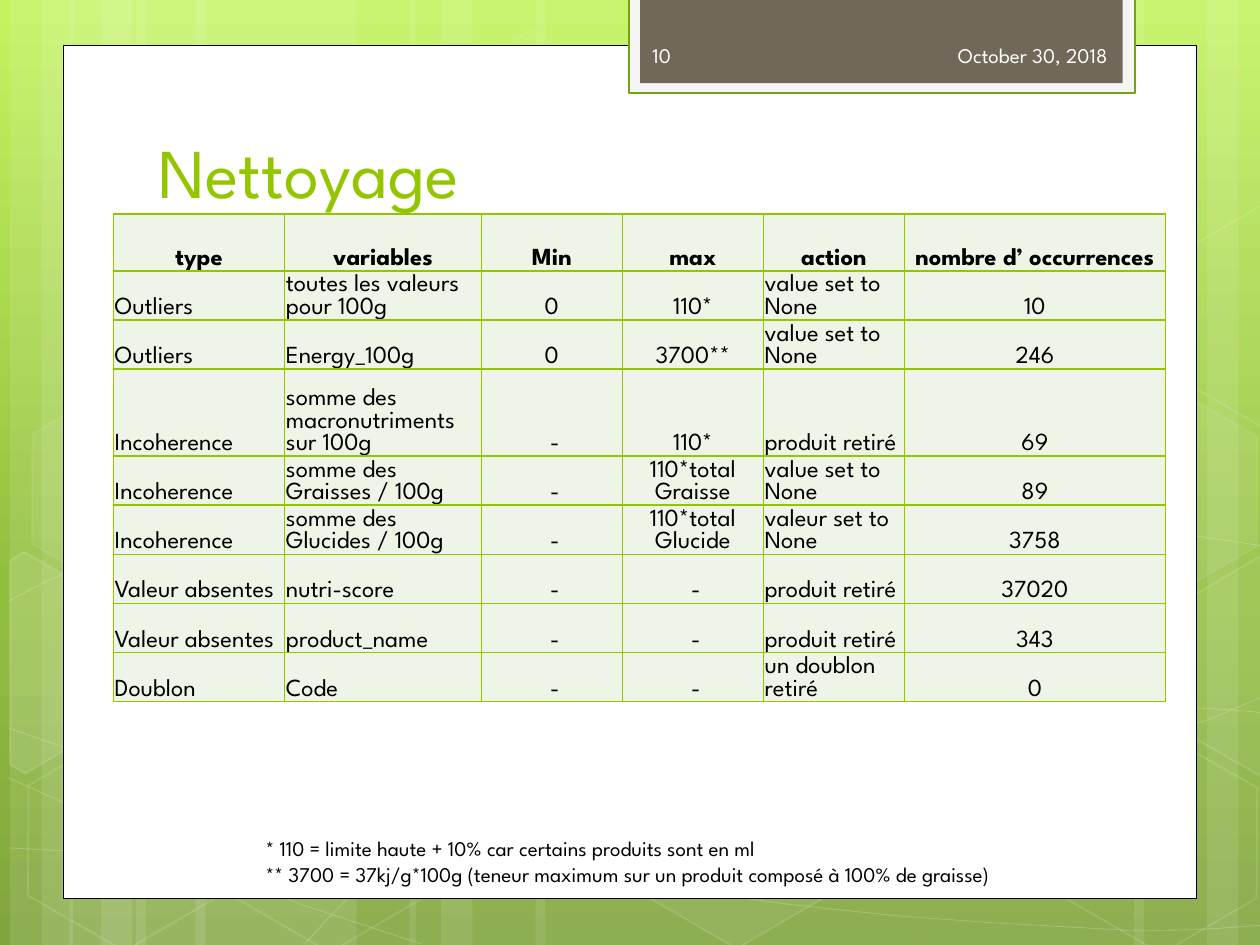
from copy import deepcopy
from dataclasses import dataclass

from lxml import etree
from pptx import Presentation
from pptx.dml.color import RGBColor
from pptx.enum.shapes import MSO_SHAPE
from pptx.enum.text import MSO_ANCHOR, MSO_AUTO_SIZE, PP_ALIGN
from pptx.oxml.ns import qn
from pptx.util import Inches, Pt

RECTANGLE, HEXAGON = MSO_SHAPE.RECTANGLE, MSO_SHAPE.HEXAGON
LEFT, CENTER, RIGHT = PP_ALIGN.LEFT, PP_ALIGN.CENTER, PP_ALIGN.RIGHT
TOP, MIDDLE, BOTTOM = MSO_ANCHOR.TOP, MSO_ANCHOR.MIDDLE, MSO_ANCHOR.BOTTOM


@dataclass(frozen=True)
class Theme:
    font: str = "League Spartan"
    white: str = "FFFFFF"
    black: str = "000000"
    green: str = "94C600"
    tab_edge: str = "74A510"
    tab_frame: str = "F5F5F5"
    tab: str = "71685A"
    tab_text: str = "FEFEFE"
    cell: str = "EEF5E7"
    background: tuple = ((0, "C3F35F"), (0.62, "93BF3F"), (1, "81A53E"))
    title_size: int = 40
    table_size: int = 14
    table_spacing: float = 12.9
    small_size: int = 12
    small_spacing: float = 15


def write(frame, text, size, color, font, bold=False, align=LEFT, anchor=TOP,
          wrap=True, spacing=None):
    frame.word_wrap = wrap
    frame.vertical_anchor = anchor
    for index, line in enumerate(text.split("\n")):
        para = frame.paragraphs[0] if index == 0 else frame.add_paragraph()
        para.alignment = align
        if spacing:
            para.line_spacing = Pt(spacing)
        span = para.add_run()
        span.text = line
        span.font.size = Pt(size)
        span.font.name = font
        span.font.bold = bold
        span.font.color.rgb = RGBColor.from_string(color)


def set_alpha(fill, color, percent):
    fill.solid()
    fill.fore_color.rgb = RGBColor.from_string(color)
    if percent < 100:
        node = fill._xPr.find(qn("a:solidFill"))[0]
        etree.SubElement(node, qn("a:alpha"), val=str(percent * 1000))


def curve_points(start, segments, steps=3):
    points = [start]
    for x1, y1, x2, y2, x3, y3 in segments:
        controls = (points[-1], (x1, y1), (x2, y2), (x3, y3))
        for step in range(1, steps + 1):
            t = step / steps
            weights = ((1 - t) ** 3, 3 * t * (1 - t) ** 2, 3 * t * t * (1 - t), t ** 3)
            points.append(tuple(sum(w * point[axis] for w, point in zip(weights, controls))
                                for axis in (0, 1)))
    return points


class SlideBuilder:
    def __init__(self, deck, theme):
        self.theme = theme
        self.slide = deck.slides.add_slide(deck.slide_layouts[5])
        self.shapes = self.slide.shapes

    def background(self):
        fill = self.slide.background.fill
        fill.gradient()
        fill.gradient_angle = 270
        stop_list = self.slide.element.find(".//" + qn("a:gsLst"))
        stop_list.append(deepcopy(stop_list[-1]))
        for stop, (position, color) in zip(fill.gradient_stops, self.theme.background):
            stop.position = position
            stop.color.rgb = RGBColor.from_string(color)

    def paint(self, shape, fill, fill_alpha, line, line_width, line_alpha):
        shape.shadow.inherit = False
        if fill:
            set_alpha(shape.fill, fill, fill_alpha)
        else:
            shape.fill.background()
        if line:
            shape.line.width = Pt(line_width)
            set_alpha(shape.line.fill, line, line_alpha)
        else:
            shape.line.fill.background()

    def shape(self, kind, left, top, width, height, fill=None, fill_alpha=100,
              line=None, line_width=1, line_alpha=100):
        shape = self.shapes.add_shape(kind, Inches(left), Inches(top), Inches(width), Inches(height))
        self.paint(shape, fill, fill_alpha, line, line_width, line_alpha)
        return shape

    def hexagon(self, left, top, fill_alpha, line_alpha):
        white = self.theme.white
        shape = self.shape(HEXAGON, left, top, 1.75, 1.52, white if fill_alpha else None,
                           fill_alpha, white, 1, line_alpha)
        shape.adjustments[0] = 0.285
        shape.rotation = 30

    def outline(self, points, closed=False, fill_alpha=0, line_width=0.5, line_alpha=20):
        start, *rest = [(Inches(x), Inches(y)) for x, y in points]
        builder = self.shapes.build_freeform(*start)
        builder.add_line_segments(rest, close=closed)
        white = self.theme.white
        self.paint(builder.convert_to_shape(), white if fill_alpha else None, fill_alpha,
                   white, line_width, line_alpha)

    def title(self, text, left, top, width, height):
        box = self.shapes.title
        box.left, box.top, box.width, box.height = map(Inches, (left, top, width, height))
        box.text_frame.auto_size = MSO_AUTO_SIZE.NONE
        write(box.text_frame, text, self.theme.title_size, self.theme.green,
              self.theme.font, anchor=BOTTOM)
        self.shapes._spTree.append(box._element)

    def text(self, text, left, top, width, height, color, **style):
        box = self.shapes.add_textbox(Inches(left), Inches(top), Inches(width), Inches(height))
        write(box.text_frame, text, self.theme.small_size, color, self.theme.font, **style)

    def table(self, left, top, widths, heights, rows, centered):
        frame = self.shapes.add_table(len(rows), len(widths), Inches(left), Inches(top),
                                      Inches(sum(widths)), Inches(sum(heights)))
        table = frame.table
        table.horz_banding = False
        for column, width in zip(table.columns, widths):
            column.width = Inches(width)
        for row_index, (values, height) in enumerate(zip(rows, heights)):
            header = row_index == 0
            table.rows[row_index].height = Inches(height)
            for column_index, value in enumerate(values):
                align = CENTER if header or column_index in centered else LEFT
                self.cell(table.cell(row_index, column_index), value, header, align)

    def cell(self, cell, value, bold, align):
        cell.margin_left = cell.margin_top = cell.margin_right = Inches(0.01)
        cell.margin_bottom = 0
        write(cell.text_frame, value, self.theme.table_size, self.theme.black,
              self.theme.font, bold=bold, align=align, spacing=self.theme.table_spacing)
        cell.vertical_anchor = BOTTOM
        properties = cell._tc.get_or_add_tcPr()
        for side in ("lnL", "lnR", "lnT", "lnB"):
            edge = etree.SubElement(properties, qn("a:" + side), w=str(Pt(1)))
            solid = etree.SubElement(edge, qn("a:solidFill"))
            etree.SubElement(solid, qn("a:srgbClr"), val=self.theme.green)
        cell.fill.solid()
        cell.fill.fore_color.rgb = RGBColor.from_string(self.theme.cell)


STRIPES = [(1.08, 1.75), (0.08, 0.5), (0.33, 0.83), (1.55, 1.75), (0.55, 0.5), (0.8, 0.83),
           (7.33, 1.75), (9.58, 0.5), (9, 0.83), (4.25, 3.08), (3.25, 0.5), (3.5, 0.83)]
WAVES = [
    ((0.07, 6.73), [(0.61, 6.76, 1.15, 6.79, 1.9, 6.78), (2.65, 6.77, 3.58, 6.75, 4.58, 6.65),
                    (5.58, 6.55, 7, 6.36, 7.92, 6.17), (8.83, 5.98, 9.77, 5.68, 10.07, 5.51)]),
    ((0.07, 4.77), [(0.36, 4.61, 0.65, 4.46, 1.21, 4.31), (1.78, 4.16, 2.59, 3.94, 3.47, 3.87),
                    (4.36, 3.8, 5.44, 3.79, 6.54, 3.87), (7.64, 3.95, 9.47, 4.26, 10.07, 4.34)]),
    ((0.06, 6.17), [(1.27, 6.72, 2.47, 7.27, 3.34, 7.49)]),
    ((0.07, 5.78), [(0.38, 5.89, 0.7, 6, 1.28, 6.16), (1.86, 6.31, 2.73, 6.56, 3.57, 6.73),
                    (4.4, 6.9, 5.45, 7.08, 6.28, 7.18), (7.11, 7.29, 8, 7.33, 8.53, 7.36),
                    (9.05, 7.4, 9.19, 7.38, 9.45, 7.38), (9.71, 7.37, 9.89, 7.35, 10.07, 7.34)]),
    ((2.42, 7.49), [(2.6, 7.29, 2.78, 7.09, 3.02, 6.91), (3.26, 6.73, 3.6, 6.53, 3.88, 6.39),
                    (4.16, 6.25, 4.33, 6.19, 4.7, 6.09), (5.06, 5.99, 5.73, 5.85, 6.08, 5.78),
                    (6.44, 5.71, 6.49, 5.71, 6.8, 5.69), (7.11, 5.66, 7.6, 5.63, 7.94, 5.62),
                    (8.29, 5.61, 8.86, 5.62, 9.53, 5.62), (9.71, 5.63, 9.88, 5.64, 10.06, 5.66)]),
]
HEXAGONS = [(3.34, 0.36, 4, 8), (4.97, 5.89, 6, 12), (0.11, 5.91, 0, 12), (0.14, 3.12, 7, 8),
            (1.74, 5.92, 0, 12), (8.34, 5.93, 0, 12), (8.34, 3.14, 7, 8)]
CUT_HEXAGONS = [
    (10, [(0.08, 4.45), (0.19, 4.38), (0.96, 4.82), (0.95, 5.7), (0.2, 6.14), (0.08, 6.07)]),
    (4, [(9.26, 4.85), (10.01, 4.41), (10.09, 4.46), (10.09, 6.13), (10.02, 6.17), (9.26, 5.73)]),
    (0, [(9.26, 2.07), (10.01, 1.63), (10.1, 1.68), (10.09, 3.35), (10.02, 3.39), (9.26, 2.95)]),
]
CLEANING = [
    ("type", "variables", "Min", "max", "action", "nombre d’ occurrences"),
    ("Outliers", "toutes les valeurs pour 100g", "0", "110*", "value set to None", "10"),
    ("Outliers", "Energy_100g", "0", "3700**", "value set to None", "246"),
    ("Incoherence", "somme des macronutriments sur 100g", " -", "110*", "produit retiré", "69"),
    ("Incoherence", "somme des Graisses / 100g", " -", "110*total Graisse", "value set to None", "89"),
    ("Incoherence", "somme des Glucides / 100g", " -", "110*total Glucide", "valeur set to None", "3758"),
    ("Valeur absentes", "nutri-score", " -", " -", "produit retiré", "37020"),
    ("Valeur absentes", "product_name", " -", " -", "produit retiré", "343"),
    ("Doublon", "Code", " -", " -", "un doublon retiré", "0"),
]
NOTES = ("* 110 = limite haute + 10% car certains produits sont en ml\n"
         "** 3700 = 37kj/g*100g (teneur maximum sur un produit composé à 100% de graisse)")

deck = Presentation()
deck.slide_width, deck.slide_height = Inches(10), Inches(7.5)
theme = Theme()
page = SlideBuilder(deck, theme)
page.background()
for left, width in STRIPES:
    page.shape(RECTANGLE, left, 0, width, 7.5, theme.white, 10)
for start, segments in WAVES:
    page.outline(curve_points(start, segments))
for hexagon in HEXAGONS:
    page.hexagon(*hexagon)
for fill_alpha, points in CUT_HEXAGONS:
    page.outline(points, True, fill_alpha, 1, 12)
page.shape(RECTANGLE, 0.5, 0.36, 9, 6.77, theme.white, line=theme.black, line_width=0.5)
page.shape(RECTANGLE, 4.99, -0.02, 4.02, 0.76, theme.tab_frame, line=theme.tab_edge, line_width=1.25)
page.shape(RECTANGLE, 5.08, -0.02, 3.83, 0.68, theme.tab)
page.title("Nettoyage", 1.16, 0.91, 7.68, 0.83)
page.text("October 30, 2018", 6.56, 0.24, 2.33, 0.4, theme.tab_text, align=RIGHT, anchor=MIDDLE)
page.text("10", 5.08, 0.24, 1.46, 0.4, theme.tab_text, anchor=MIDDLE)
page.table(0.9, 1.7, [1.36, 1.56, 1.12, 1.12, 1.12, 2.07],
           [0.45, 0.39, 0.39, 0.69] + [0.39] * 5, CLEANING, (2, 3, 5))
page.text(NOTES, 2.01, 6.57, 6.93, 0.5, theme.black, wrap=False, spacing=theme.small_spacing)
deck.save("out.pptx")
